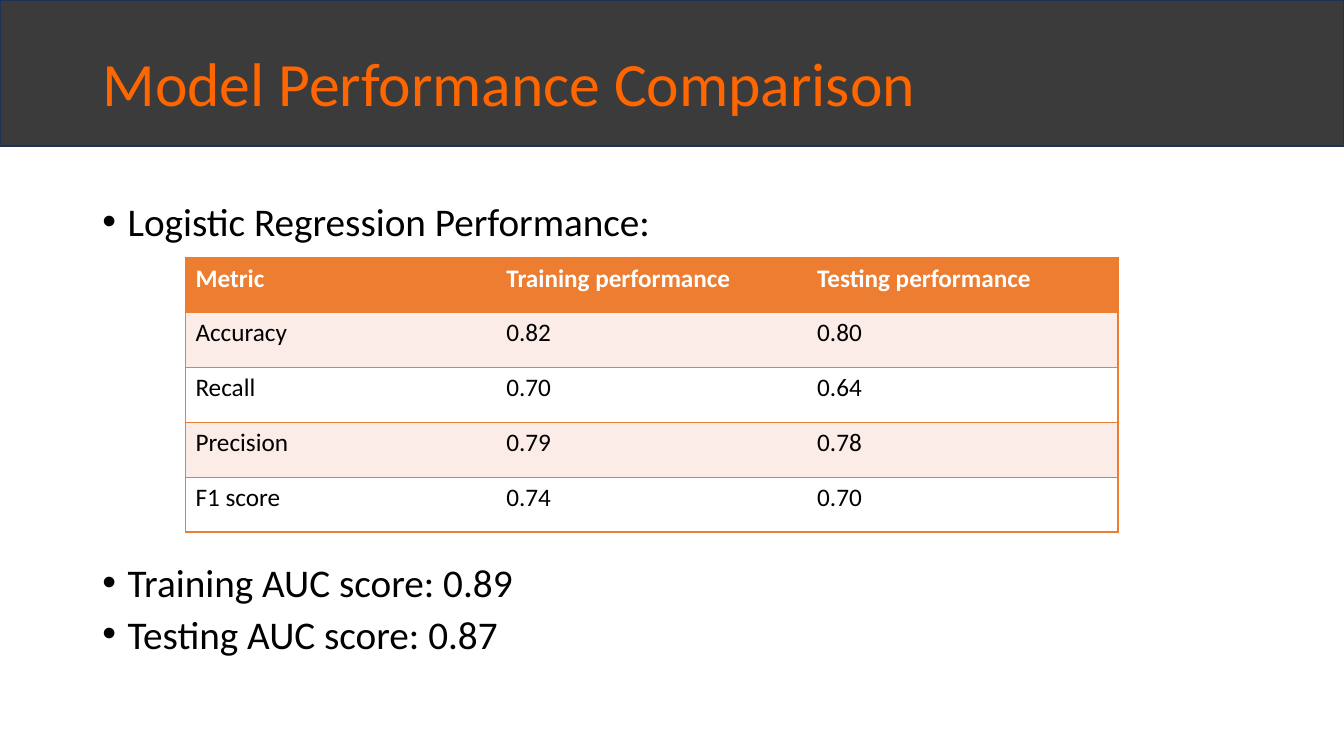
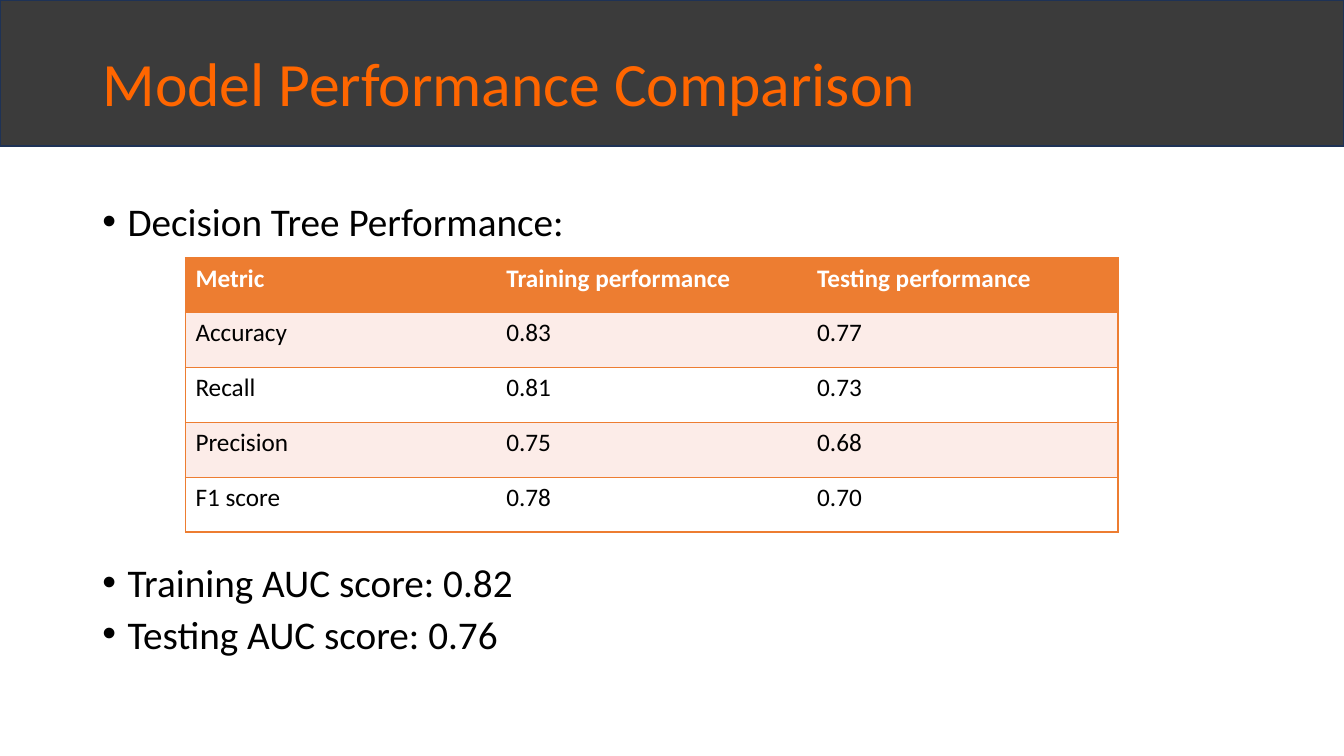
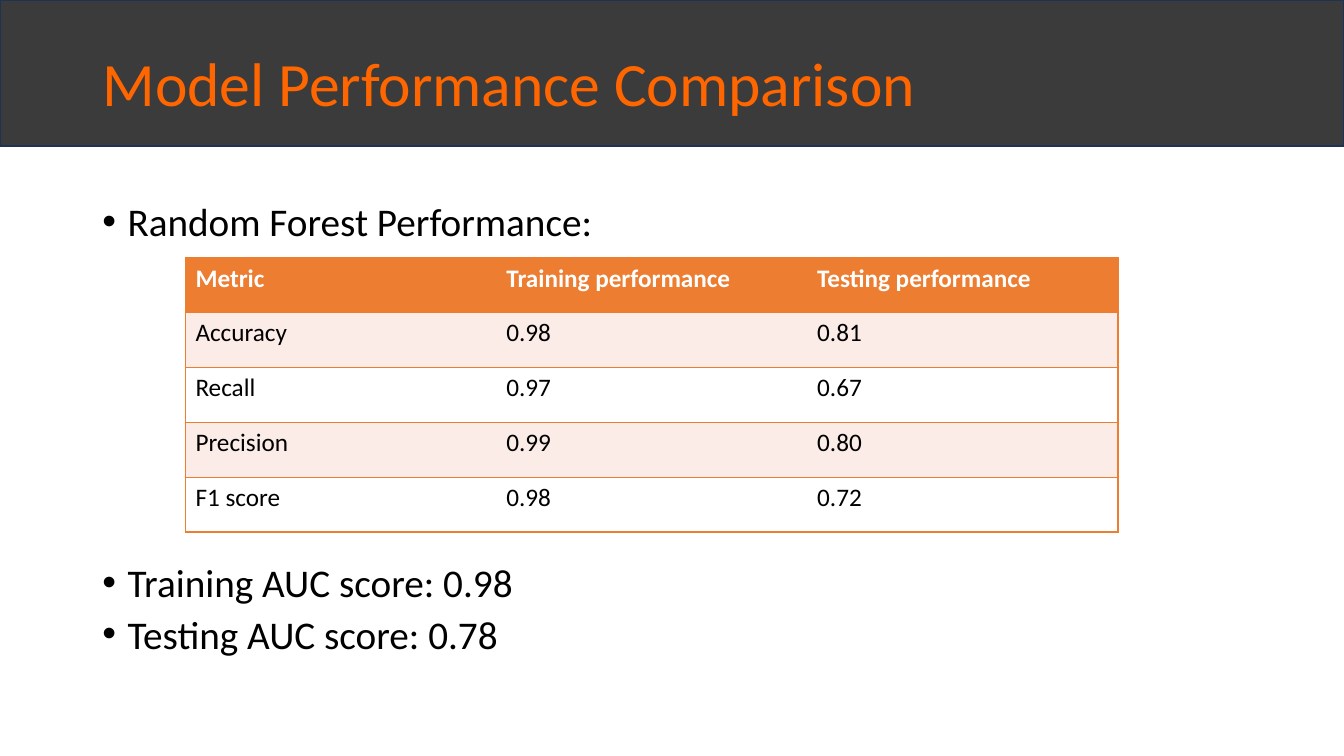
from lxml import etree
from pptx import Presentation
from pptx.dml.color import RGBColor
from pptx.enum.shapes import MSO_SHAPE
from pptx.enum.text import MSO_ANCHOR
from pptx.oxml.ns import qn
from pptx.util import Inches, Pt

RECTANGLE = MSO_SHAPE.RECTANGLE
TOP, MIDDLE = MSO_ANCHOR.TOP, MSO_ANCHOR.MIDDLE
WIDTH, HEIGHT = Inches(13.333), Inches(7.5)
FONT = "Calibri"
COLORS = {
    "band": "3B3B3B",
    "band_line": "1E3256",
    "title": "FF6600",
    "accent": "ED7D31",
    "stripe": "FCECE8",
    "white": "FFFFFF",
    "text": "000000",
}

# left, top, width and height as percentages of the slide
BAND_BOX = (0, 0, 100, 19.33)
TITLE_BOX = (6.88, 5.33, 86.25, 12.27)
HEADING_BOX = (6.88, 26.67, 86.25, 6.67)
TABLE_BOX = (13.8, 34.13, 69.38, 36.27)
SCORES_BOX = (6.88, 74.4, 86.25, 15.73)

TITLE = "Model Performance Comparison"
HEADERS = ("Metric", "Training performance", "Testing performance")
METRICS = ("Accuracy", "Recall", "Precision", "F1 score")
MODELS = (
    ("Logistic Regression", ("0.82", "0.70", "0.79", "0.74"),
     ("0.80", "0.64", "0.78", "0.70"), ("0.89", "0.87")),
    ("Decision Tree", ("0.83", "0.81", "0.75", "0.78"),
     ("0.77", "0.73", "0.68", "0.70"), ("0.82", "0.76")),
    ("Random Forest", ("0.98", "0.97", "0.99", "0.98"),
     ("0.81", "0.67", "0.80", "0.72"), ("0.98", "0.78")),
)


def rgb(name):
    """Return the named colour."""
    return RGBColor.from_string(COLORS[name])


def place(box):
    """Turn percentages of the slide into lengths."""
    left, top, width, height = (share / 100 for share in box)
    return (round(left * WIDTH), round(top * HEIGHT),
            round(width * WIDTH), round(height * HEIGHT))


def style(paragraph, size, color, bold=False):
    """Set the font of a whole paragraph."""
    font = paragraph.font
    font.name, font.size, font.bold = FONT, Pt(size), bold
    font.color.rgb = rgb(color)


def add_text(slide, box, lines, size, color, spacing, anchor=TOP):
    """Add a text box with one paragraph a line and return its paragraphs."""
    frame = slide.shapes.add_textbox(*place(box)).text_frame
    frame.word_wrap = True
    frame.vertical_anchor = anchor
    frame.text = "\n".join(lines)
    for paragraph in frame.paragraphs:
        paragraph.line_spacing = spacing
        style(paragraph, size, color)
    return frame.paragraphs


def add_header(slide):
    """Add the dark band and the title on it."""
    band = slide.shapes.add_shape(RECTANGLE, *place(BAND_BOX))
    band.shadow.inherit = False
    band.fill.solid()
    band.fill.fore_color.rgb = rgb("band")
    band.line.color.rgb = rgb("band_line")
    band.line.width = Pt(1)
    add_text(slide, TITLE_BOX, [TITLE], 44, "title", 0.9, MIDDLE)


def add_bullets(slide, box, lines):
    """Add a bulleted list."""
    for paragraph in add_text(slide, box, lines, 28, "text", 0.8):
        paragraph.space_before = Pt(10)
        properties = paragraph._p.get_or_add_pPr()
        properties.set("marL", str(Inches(0.25)))
        properties.set("indent", str(-Inches(0.25)))
        font = etree.Element(qn("a:buFont"), typeface="Arial")
        bullet = etree.Element(qn("a:buChar"), char="•")
        position = properties.index(properties.find(qn("a:defRPr")))
        properties[position:position] = [font, bullet]


def set_borders(cell, visible):
    """Draw the visible sides of a cell and clear the others."""
    properties = cell._tc.get_or_add_tcPr()
    for side in "LRTB":
        line = etree.SubElement(properties, qn(f"a:ln{side}"), w=str(Pt(1)))
        if side in visible:
            fill = etree.SubElement(line, qn("a:solidFill"))
            etree.SubElement(fill, qn("a:srgbClr"), val=COLORS["accent"])
        else:
            etree.SubElement(line, qn("a:noFill"))


def add_metrics_table(slide, box, rows):
    """Add a table with a header row and striped body rows."""
    table = slide.shapes.add_table(len(rows), len(HEADERS), *place(box)).table
    last = len(HEADERS) - 1
    for row, values in enumerate(rows):
        fill = "accent" if row == 0 else "stripe" if row % 2 else "white"
        for column, value in enumerate(values):
            cell = table.cell(row, column)
            cell.text = value
            style(cell.text_frame.paragraphs[0], 18,
                  "text" if row else "white", bold=row == 0)
            set_borders(cell, "TB" + "L" * (column == 0) + "R" * (column == last))
            cell.fill.solid()
            cell.fill.fore_color.rgb = rgb(fill)


def add_model_slide(presentation, model, training, testing, scores):
    """Add the slide with the results of one model."""
    slide = presentation.slides.add_slide(presentation.slide_layouts[6])
    add_header(slide)
    add_bullets(slide, HEADING_BOX, [f"{model} Performance:"])
    add_metrics_table(slide, TABLE_BOX, [HEADERS, *zip(METRICS, training, testing)])
    add_bullets(slide, SCORES_BOX, [
        f"{phase} AUC score: {score}"
        for phase, score in zip(("Training", "Testing"), scores)])


def main():
    """Build and save the presentation."""
    presentation = Presentation()
    presentation.slide_width, presentation.slide_height = WIDTH, HEIGHT
    for model in MODELS:
        add_model_slide(presentation, *model)
    presentation.save("out.pptx")


if __name__ == "__main__":
    main()
